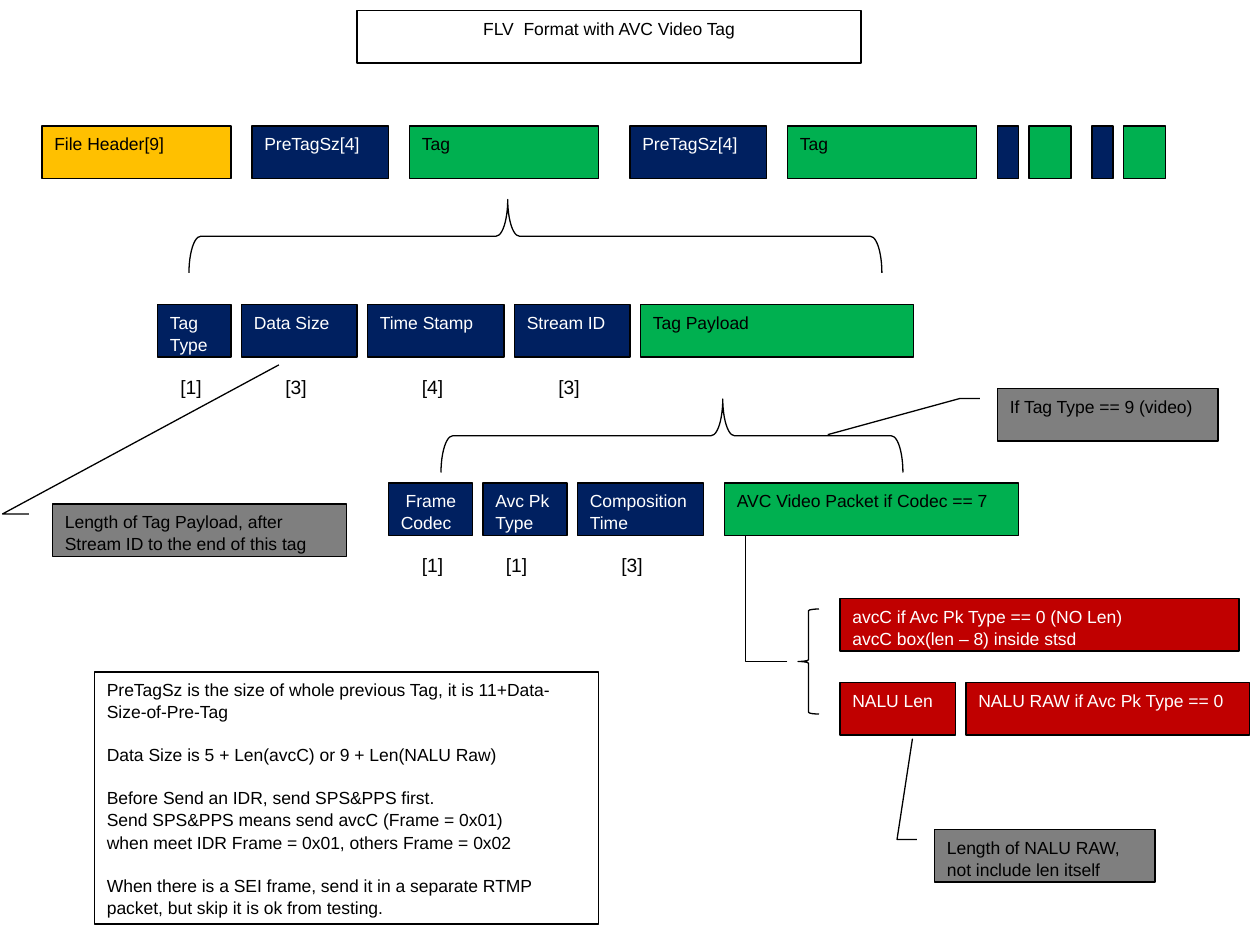
from pptx import Presentation
from pptx.dml.color import RGBColor as RGB
from pptx.enum.shapes import MSO_CONNECTOR as CONN, MSO_SHAPE as SHAPE
from pptx.enum.text import MSO_ANCHOR as ANCHOR, MSO_AUTO_SIZE as FIT, PP_ALIGN as ALIGN
from pptx.oxml.ns import qn
from pptx.util import Inches, Pt
from lxml import etree

THEME = {
    "font": "Arial", "body": 10, "count": 11, "line": 0.75, "leading": 1.05, "gap": 12,
    "ink": "000000",
    # style: (fill, text colour)
    "gold": ("FFC000", "000000"),
    "navy": ("002060", "FFFFFF"),
    "green": ("00B050", "000000"),
    "red": ("C00000", "FFFFFF"),
    "grey": ("7F7F7F", "000000"),
    "white": ("FFFFFF", "000000"),
}

# Grid of 120 columns by 90 rows; a standard box is 5 rows high
COLS, ROWS, BOX_H = 120, 90, 5

# Rows of boxes: (row, [(column, columns wide, style, lines)])
BOX_ROWS = [
    (12, [(4, 18, "gold", ["File Header[9]"]),
          (24, 13, "navy", ["PreTagSz[4]"]), (39, 18, "green", ["Tag"]),
          (60, 13, "navy", ["PreTagSz[4]"]), (75, 18, "green", ["Tag"]),
          (95, 2, "navy", []), (98, 4, "green", []),
          (104, 2, "navy", []), (107, 4, "green", [])]),
    (29, [(15, 7, "navy", ["Tag Type"]), (23, 11, "navy", ["Data Size"]),
          (35, 13, "navy", ["Time Stamp"]), (49, 11, "navy", ["Stream ID"]),
          (61, 26, "green", ["Tag Payload"])]),
    (46, [(37, 8, "navy", [" Frame", "Codec"]), (46, 8, "navy", ["Avc Pk Type"]),
          (55, 12, "navy", ["Composition Time"]),
          (69, 28, "green", ["AVC Video Packet if Codec == 7"])]),
    (57, [(80, 38, "red", ["avcC if Avc Pk Type == 0 (NO Len)",
                           "avcC box(len – 8) inside stsd"])]),
    (65, [(80, 11, "red", ["NALU Len"]), (92, 27, "red", ["NALU RAW if Avc Pk Type == 0"])]),
]

# Byte counts: (row, [(column, text)])
COUNT_ROWS = [
    (35, [(16, "[1]"), (26, "[3]"), (39, "[4]"), (52, "[3]")]),
    (52, [(39, "[1]"), (47, "[1]"), (58, "[3]")]),
]

# Upward braces: (column, row, columns, rows, tip as share of width)
UP_BRACES = [(18, 19, 66, 7, 0.46), (42, 38, 44, 7, 0.61)]
SIDE_BRACE = (76, 58, 2, 10)
ELBOW = (75, 63, 71, 51)

# Callouts: (column, row, columns, text, pointer tip as shares (y, x))
CALLOUTS = [
    (95, 37, 21, "If Tag Type == 9 (video)", (0.88, -0.77)),
    (5, 48, 28, "Length of Tag Payload, after Stream ID to the end of this tag", (-2.65, 0.77)),
    (89, 79, 21, "Length of NALU RAW, not include len itself", (-1.73, -0.1)),
]
CALLOUT_ELBOW = (0.19, -0.08, 0.19, -0.17)

TITLE = "FLV  Format with AVC Video Tag"
# Groups of lines, set apart by paragraph spacing
NOTES = [
    ["PreTagSz is the size of whole previous Tag, it is 11+Data-Size-of-Pre-Tag"],
    ["Data Size is 5 + Len(avcC) or 9 + Len(NALU Raw)"],
    ["Before Send an IDR, send SPS&PPS first.",
     "Send SPS&PPS means send avcC (Frame = 0x01)",
     "when meet IDR Frame = 0x01, others Frame = 0x02"],
    ["When there is a SEI frame, send it in a separate RTMP packet, "
     "but skip it is ok from testing."],
]

prs = Presentation()
prs.slide_width, prs.slide_height = Inches(10), Inches(7.5)
s = prs.slides.add_slide(prs.slide_layouts[6])


def grid(col, row):
    return round(prs.slide_width * col / COLS), round(prs.slide_height * row / ROWS)


def write(sp, groups, color, size=THEME["body"], align=ALIGN.LEFT):
    tf = sp.text_frame
    frame_format = {"word_wrap": True, "vertical_anchor": ANCHOR.TOP}
    for name, value in frame_format.items():
        setattr(tf, name, value)
    lines = [(text, i > 0 and j == 0)
             for i, group in enumerate(groups) for j, text in enumerate(group)]
    for n, (text, spaced) in enumerate(lines):
        p = tf.paragraphs[0] if n == 0 else tf.add_paragraph()
        p.alignment, p.line_spacing = align, THEME["leading"]
        if spaced:
            p.space_before = Pt(THEME["gap"])
        r = p.add_run()
        r.text = text
        for name, value in {"name": THEME["font"], "size": Pt(size)}.items():
            setattr(r.font, name, value)
        r.font.color.rgb = RGB.from_string(color)


def outline(line):
    line.color.rgb = RGB.from_string(THEME["ink"])
    line.width = Pt(THEME["line"])


def shape(kind, col, row, cols, rows, style="white", groups=(), align=ALIGN.LEFT, adj=()):
    sp = s.shapes.add_shape(kind, *grid(col, row), *grid(cols, rows))
    fill, color = THEME[style]
    sp.shadow.inherit = False
    sp.fill.solid()
    sp.fill.fore_color.rgb = RGB.from_string(fill)
    outline(sp.line)
    for i, value in enumerate(adj):
        sp.adjustments[i] = value
    write(sp, groups, color, align=align)
    return sp


# Box rows
for row, boxes in BOX_ROWS:
    for col, cols, style, lines in boxes:
        shape(SHAPE.RECTANGLE, col, row, cols, BOX_H, style, [lines])

# Byte counts
for row, counts in COUNT_ROWS:
    for col, text in counts:
        sp = s.shapes.add_textbox(*grid(col, row), Inches(0.37), Inches(0.29))
        write(sp, [[text]], THEME["ink"], THEME["count"])
        sp.text_frame.word_wrap, sp.text_frame.auto_size = False, FIT.SHAPE_TO_FIT_TEXT

# Braces: the upward ones are right braces turned about their centre
for col, row, cols, rows, tip in UP_BRACES:
    shift = (cols - rows) / 2
    sp = shape(SHAPE.RIGHT_BRACE, col + shift, row - shift, rows, cols, adj=(0.16, tip))
    sp.rotation = 270
shape(SHAPE.LEFT_BRACE, *SIDE_BRACE)

# Elbow from the side brace up to the video packet
x1, y1, x2, y2 = ELBOW
cx = s.shapes.add_connector(CONN.ELBOW, *grid(x1, y1), *grid(x2, y2))
outline(cx.line)
sp_pr = cx._element.spPr
sp_pr.find(qn("a:prstGeom")).set("prst", "bentConnector2")
etree.SubElement(sp_pr, qn("a:effectLst"))

# Callouts
for col, row, cols, text, tip in CALLOUTS:
    shape(SHAPE.LINE_CALLOUT_2, col, row, cols, BOX_H, "grey", [[text]],
          adj=CALLOUT_ELBOW + tip)

# Title and notes
shape(SHAPE.RECTANGLE, 34, 1, 48, BOX_H, groups=[[TITLE]], align=ALIGN.CENTER)
shape(SHAPE.RECTANGLE, 9, 64, 48, 24, groups=NOTES)

prs.save("out.pptx")
